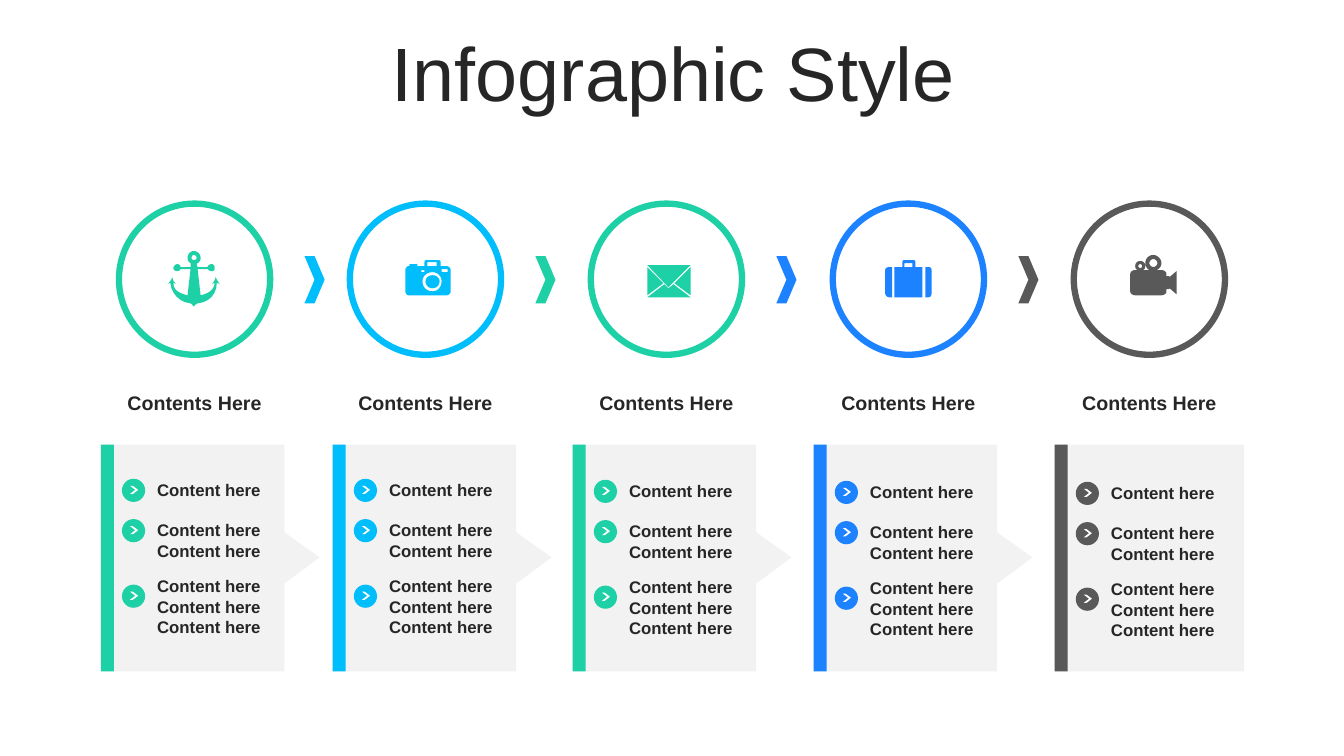
from pptx import Presentation
from pptx import util as u
from pptx.dml.color import RGBColor
from pptx.enum import shapes, text

COLORS = {"green": "1ED0A6", "cyan": "00BDFB", "blue": "1C82FF", "gray": "595959",
          "panel": "F2F2F2", "white": "FFFFFF", "ink": "262626"}
TITLE = "Infographic Style"
LABEL = "Contents Here"
ITEM = "Content here"

ANCHOR = [
    "M 192 253 C 191 253 190 254 190 256 C 190 257 191 258 192 258 C 194 258 195 257 195 256",
    "C 195 254 194 253 192 253 Z",
    "M 192 249 C 196 249 199 252 199 256 C 199 258 198 260 196 261 L 195 262 L 196 265 L 206 265",
    "L 206 264 C 207 263 208 262 210 262 C 212 262 213 264 213 266 C 213 268 212 269 210 269",
    "C 208 269 207 268 206 267 L 196 267 L 199 293 C 207 291 212 288 213 281",
    "C 212 281 211 281 210 282 C 212 280 213 278 214 275 C 215 278 217 280 218 282",
    "C 218 281 216 281 215 281 C 215 291 208 300 196 301 C 194 302 193 303 192 304",
    "C 191 303 191 302 189 301 C 178 300 170 291 169 281 C 168 281 167 281 166 282",
    "C 168 280 170 278 171 275 C 171 278 173 280 175 282 C 174 281 173 281 172 281",
    "C 172 288 178 291 186 293 L 189 267 L 179 267 C 179 268 177 269 176 269",
    "C 174 269 172 268 172 266 C 172 264 174 262 176 262 C 177 262 179 263 179 264",
    "L 179 265 L 189 265 L 189 261 C 187 260 186 258 186 256 C 186 252 189 249 192 249 Z"]
CAMERA = [
    "M 429 273 C 433 273 436 276 436 279 C 436 283 433 286 429 286 C 425 286 422 283 422 279",
    "C 422 276 425 273 429 273 Z",
    "M 429 270 C 423 270 419 274 419 279 C 419 285 423 289 429 289 C 434 289 438 285 438 279",
    "C 438 274 434 270 429 270 Z",
    "M 418 268 L 418 270 L 421 270 L 421 268 Z",
    "M 438 267 L 438 270 L 444 270 L 444 267 Z",
    "M 424 260 L 424 264 L 433 264 L 433 260 Z",
    "M 422 258 L 435 258 C 436 258 437 259 437 260 L 437 264 L 443 264 C 445 264 447 266 447 268",
    "L 447 289 C 447 291 445 293 443 293 L 405 293 C 404 293 402 291 402 289 L 402 268",
    "C 402 266 404 264 405 264 L 406 264 L 406 263 C 406 262 407 262 407 262 L 413 262",
    "C 414 262 414 262 414 263 L 414 264 L 421 264 L 421 260 C 421 259 422 258 422 258 Z"]
ENVELOPE = [
    "M 668 282 L 685 295 L 642 295 L 659 282 L 663 286 Z",
    "M 685 265 L 685 293 L 669 281 Z",
    "M 642 265 L 658 281 L 642 293 Z",
    "M 642 263 L 685 263 L 663 285 Z"]
SUITCASE = [
    "M 918 265 L 921 265 C 923 265 924 266 924 268 L 924 291 C 924 293 923 295 921 295 L 918 295 Z",
    "M 882 265 L 885 265 L 885 295 L 882 295 C 880 295 878 293 878 291 L 878 268",
    "C 878 266 880 265 882 265 Z",
    "M 899 261 C 898 261 897 261 897 262 L 897 265 L 905 265 L 905 262 C 905 261 905 261 904 261 Z",
    "M 897 258 L 906 258 C 907 258 908 259 908 260 L 908 265 L 915 265 L 915 295 L 887 295",
    "L 887 265 L 895 265 L 895 260 C 895 259 896 258 897 258 Z"]
MOVIE_CAMERA = [
    "M 1131 262 C 1130 262 1129 263 1129 264 C 1129 265 1130 266 1131 266",
    "C 1132 266 1133 265 1133 264 C 1133 263 1132 262 1131 262 Z",
    "M 1144 257 C 1142 257 1140 259 1140 261 C 1140 263 1142 265 1144 265",
    "C 1146 265 1148 263 1148 261 C 1148 259 1146 257 1144 257 Z",
    "M 1144 253 C 1148 253 1152 257 1152 261 C 1152 264 1150 267 1147 268 L 1152 268",
    "C 1155 268 1157 270 1157 272 L 1157 274 L 1159 274 C 1159 274 1160 274 1160 275",
    "L 1167 269 L 1167 292 L 1160 286 C 1160 287 1159 287 1159 287 L 1157 287 L 1157 289",
    "C 1157 291 1155 293 1152 293 L 1126 293 C 1123 293 1121 291 1121 289 L 1121 272",
    "C 1121 270 1123 268 1126 268 L 1129 268 C 1127 268 1126 266 1126 264",
    "C 1126 261 1128 259 1131 259 C 1134 259 1136 261 1136 264 C 1136 266 1135 268 1133 268",
    "L 1140 268 C 1138 267 1136 264 1136 261 C 1136 257 1139 253 1144 253 Z"]

STAGE_FIELDS = ("color", "circle_x", "panel_x", "list_top", "icon")
STAGES = [("green", 1.18, 1.0, 4.75, ANCHOR), ("cyan", 3.47, 3.3, 4.75, CAMERA),
          ("green", 5.86, 5.68, 4.76, ENVELOPE), ("blue", 8.26, 8.07, 4.77, SUITCASE),
          ("gray", 10.65, 10.46, 4.78, MOVIE_CAMERA)]
ITEM_FIELDS = ("bullet_dy", "text_dy", "height", "lines")
ITEMS = [(0, -0.04, 0.3, 1), (0.4, 0.36, 0.5, 2), (1.05, 0.91, 0.71, 3)]
PANEL_TOP, PANEL_H = 4.41, 2.25
PANEL_EDGE = [(0, 0), (1.82, 0), (1.82, 0.87), (2.17, 1.12), (1.82, 1.38),
              (1.82, PANEL_H), (0, PANEL_H)]


def rgb(name):
    return RGBColor.from_string(COLORS[name])


def paint(sp, fill, line=None):
    sp.shadow.inherit = False
    sp.fill.solid()
    sp.fill.fore_color.rgb = rgb(fill)
    if line:
        sp.line.color.rgb = rgb(line)
        sp.line.width = u.Pt(4.5)
    else:
        sp.line.fill.background()


def add_preset(parent, kind, box, fill, line=None, adj=None):
    sp = parent.shapes.add_shape(kind, *map(u.Inches, box))
    paint(sp, fill, line)
    if adj:
        sp.adjustments[0] = adj


def add_outline(parent, contours, fill):
    contours = [[(u.Inches(x), u.Inches(y)) for x, y in c] for c in contours]
    builder = parent.shapes.build_freeform(*contours[0][0])
    for i, contour in enumerate(contours):
        if i:
            builder.move_to(*contour[0])
        builder.add_line_segments(contour[1:], close=True)
    paint(builder.convert_to_shape(), fill)


def flatten(outline, steps=6):
    contours, tokens = [], iter(" ".join(outline).split())
    for cmd in tokens:
        if cmd == "Z":
            continue
        pts = [(int(next(tokens)) / 100, int(next(tokens)) / 100)
               for _ in range(3 if cmd == "C" else 1)]
        if cmd == "M":
            contours.append(pts)
        elif cmd == "L":
            contours[-1] += pts
        else:
            curve = [contours[-1][-1]] + pts
            for t in (k / steps for k in range(1, steps + 1)):
                weights = ((1 - t) ** 3, 3 * t * (1 - t) ** 2, 3 * t * t * (1 - t), t ** 3)
                contours[-1].append(tuple(sum(w * p[axis] for w, p in zip(weights, curve))
                                          for axis in (0, 1)))
    return contours


def add_text(parent, box, lines, size, bold=True, align=None, grow=True):
    tf = parent.shapes.add_textbox(*map(u.Inches, box)).text_frame
    tf.word_wrap = True
    tf.vertical_anchor = text.MSO_ANCHOR.MIDDLE
    if grow:
        tf.auto_size = text.MSO_AUTO_SIZE.SHAPE_TO_FIT_TEXT
    tf.text = "\n".join(lines)
    for p in tf.paragraphs:
        p.alignment = align
        font = p.runs[0].font
        font.name, font.size, font.bold = "Arial", u.Pt(size), bold
        font.color.rgb = rgb("ink")
    return tf


def add_panel(s, x, color, last):
    group = s.shapes.add_group_shape()
    if last:
        add_preset(group, shapes.MSO_SHAPE.RECTANGLE, (x, PANEL_TOP, 1.88, PANEL_H), "panel")
    else:
        add_outline(group, [[(x + dx, PANEL_TOP + dy) for dx, dy in PANEL_EDGE]], "panel")
    add_preset(group, shapes.MSO_SHAPE.RECTANGLE, (x, PANEL_TOP, 0.13, PANEL_H), color)


def add_item(s, x, top, color, item):
    y = top + item["bullet_dy"]
    group = s.shapes.add_group_shape()
    add_preset(group, shapes.MSO_SHAPE.OVAL, (x, y, 0.23, 0.23), color)
    add_preset(group, shapes.MSO_SHAPE.CHEVRON, (x + 0.08, y + 0.07, 0.08, 0.08), "white", adj=0.65)
    add_text(group, (x + 0.25, top + item["text_dy"], 1.38, item["height"]),
             [ITEM] * item["lines"], 12)


def main():
    """Build the five-stage infographic slide."""
    prs = Presentation()
    prs.slide_width, prs.slide_height = u.Inches(13.33), u.Inches(7.5)
    s = prs.slides.add_slide(prs.slide_layouts[6])
    center = text.PP_ALIGN.CENTER
    tf = add_text(s, (0.35, 0.37, 12.66, 0.79), [TITLE], 54, False, center, False)
    tf.paragraphs[0].line_spacing = 0.9
    stages = [dict(zip(STAGE_FIELDS, row)) for row in STAGES]
    items = [dict(zip(ITEM_FIELDS, row)) for row in ITEMS]
    for stage, following in zip(stages, stages[1:] + [None]):
        color, x = stage["color"], stage["circle_x"]
        add_preset(s, shapes.MSO_SHAPE.OVAL, (x, 2.02, 1.5, 1.5), "white", color)
        add_outline(s, flatten(stage["icon"]), color)
        if following:
            add_preset(s, shapes.MSO_SHAPE.CHEVRON, (x + 1.84, 2.54, 0.2, 0.47), following["color"])
        add_text(s, (x - 0.17, 3.82, 1.84, 0.34), [LABEL], 14, align=center)
        add_panel(s, stage["panel_x"], color, following is None)
        for item in items:
            add_item(s, stage["panel_x"] + 0.21, stage["list_top"], color, item)
    prs.save("out.pptx")


if __name__ == "__main__":
    main()
